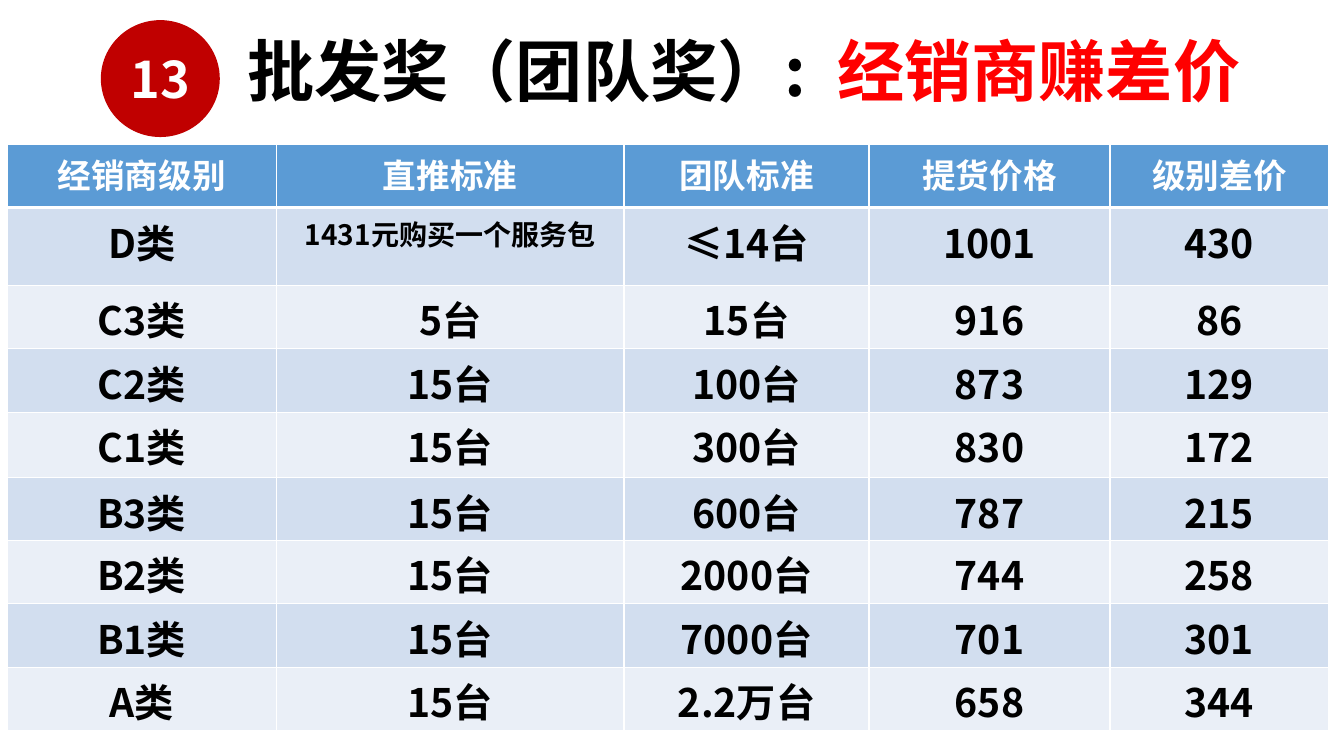
from dataclasses import dataclass

from lxml.etree import SubElement
from pptx import Presentation
from pptx.dml.color import RGBColor
from pptx.enum.shapes import MSO_SHAPE
from pptx.enum.text import MSO_ANCHOR, MSO_AUTO_SIZE, PP_ALIGN
from pptx.oxml.ns import qn
from pptx.util import Inches, Pt

FONT = "Noto Sans CJK SC"
WHITE = RGBColor(0xFF, 0xFF, 0xFF)
BLACK = RGBColor(0x00, 0x00, 0x00)
RED = RGBColor(0xFF, 0x00, 0x00)
BADGE_RED = RGBColor(0xC0, 0x00, 0x00)
HEADER_BLUE = RGBColor(0x5B, 0x9B, 0xD5)
BAND_COLOURS = (RGBColor(0xEA, 0xEF, 0xF7), RGBColor(0xD2, 0xDE, 0xEF))


@dataclass(frozen=True)
class DealerLevel:
    name: str
    referrals: str
    team: str
    price: str
    margin: str
    height: float = 0.63
    referral_size: int = 28

    def texts(self) -> tuple[str, ...]:
        return self.name, self.referrals, self.team, self.price, self.margin


HEADINGS = ("经销商级别", "直推标准", "团队标准", "提货价格", "级别差价")
HEADING_HEIGHT = 0.63
COLUMN_WIDTHS = (2.67, 3.45, 2.43, 2.39, 2.17)
LEVELS = (
    DealerLevel("D类", "1431元购买一个服务包", "≤14台", "1001", "430", 0.77, 20),
    DealerLevel("C3类", "5台", "15台", "916", "86"),
    DealerLevel("C2类", "15台", "100台", "873", "129"),
    DealerLevel("C1类", "15台", "300台", "830", "172", 0.65),
    DealerLevel("B3类", "15台", "600台", "787", "215", 0.62),
    DealerLevel("B2类", "15台", "2000台", "744", "258"),
    DealerLevel("B1类", "15台", "7000台", "701", "301"),
    DealerLevel("A类", "15台", "2.2万台", "658", "344"),
)


def write(frame, text: str, *, size: int, colour: RGBColor = BLACK,
          align: PP_ALIGN = PP_ALIGN.CENTER) -> None:
    """Append a bold run to the frame's first paragraph."""
    paragraph = frame.paragraphs[0]
    paragraph.alignment = align
    run = paragraph.add_run()
    run.text = text
    run.font.size = Pt(size)
    run.font.bold = True
    run.font.name = FONT
    run.font.color.rgb = colour
    SubElement(run.font._element, qn("a:ea"), typeface=FONT)


def add_borders(cell, bottom: float) -> None:
    properties = cell._tc.get_or_add_tcPr()
    for side, width in (("L", 1), ("R", 1), ("T", 1), ("B", bottom)):
        line = SubElement(properties, qn(f"a:ln{side}"), w=str(Pt(width)))
        fill = SubElement(line, qn("a:solidFill"))
        SubElement(fill, qn("a:srgbClr"), val=str(WHITE))


def fill_cell(cell, text: str, *, size: int, fill: RGBColor,
              colour: RGBColor = BLACK, bottom: float = 1) -> None:
    add_borders(cell, bottom)
    cell.fill.solid()
    cell.fill.fore_color.rgb = fill
    write(cell.text_frame, text, size=size, colour=colour)


def add_badge(slide) -> None:
    badge = slide.shapes.add_shape(MSO_SHAPE.OVAL, Inches(1), Inches(0.2),
                                   Inches(1.18), Inches(1.16))
    badge.shadow.inherit = False
    badge.fill.solid()
    badge.fill.fore_color.rgb = BADGE_RED
    badge.line.fill.background()
    badge.text_frame.vertical_anchor = MSO_ANCHOR.MIDDLE
    write(badge.text_frame, "13", size=36, colour=WHITE)


def add_title(slide) -> None:
    title = slide.shapes.title
    title.left, title.top = Inches(2.35), Inches(0.33)
    title.width, title.height = Inches(10.9), Inches(0.91)
    frame = title.text_frame
    frame.word_wrap = True
    frame.auto_size = MSO_AUTO_SIZE.SHAPE_TO_FIT_TEXT
    frame.vertical_anchor = MSO_ANCHOR.TOP
    frame.paragraphs[0].line_spacing = 0.9
    write(frame, "批发奖（团队奖）:  ", size=48, align=PP_ALIGN.LEFT)
    write(frame, "经销商赚差价", size=48, colour=RED, align=PP_ALIGN.LEFT)


def add_level_table(slide) -> None:
    heights = (HEADING_HEIGHT, *(level.height for level in LEVELS))
    table = slide.shapes.add_table(
        len(heights), len(HEADINGS), Inches(0.07), Inches(1.43),
        Inches(sum(COLUMN_WIDTHS)), Inches(sum(heights))).table
    for column, width in zip(table.columns, COLUMN_WIDTHS):
        column.width = Inches(width)
    for row, height in zip(table.rows, heights):
        row.height = Inches(height)
    for column, heading in enumerate(HEADINGS):
        fill_cell(table.cell(0, column), heading, size=24, fill=HEADER_BLUE,
                  colour=WHITE, bottom=3)
    for row, level in enumerate(LEVELS, start=1):
        for column, text in enumerate(level.texts()):
            size = level.referral_size if column == 1 else 28
            fill_cell(table.cell(row, column), text, size=size,
                      fill=BAND_COLOURS[row % 2])


def main() -> None:
    presentation = Presentation()
    presentation.slide_width = Inches(13.33)
    presentation.slide_height = Inches(7.5)
    slide = presentation.slides.add_slide(presentation.slide_layouts[5])
    add_badge(slide)
    add_title(slide)
    add_level_table(slide)
    presentation.save("out.pptx")


if __name__ == "__main__":
    main()
